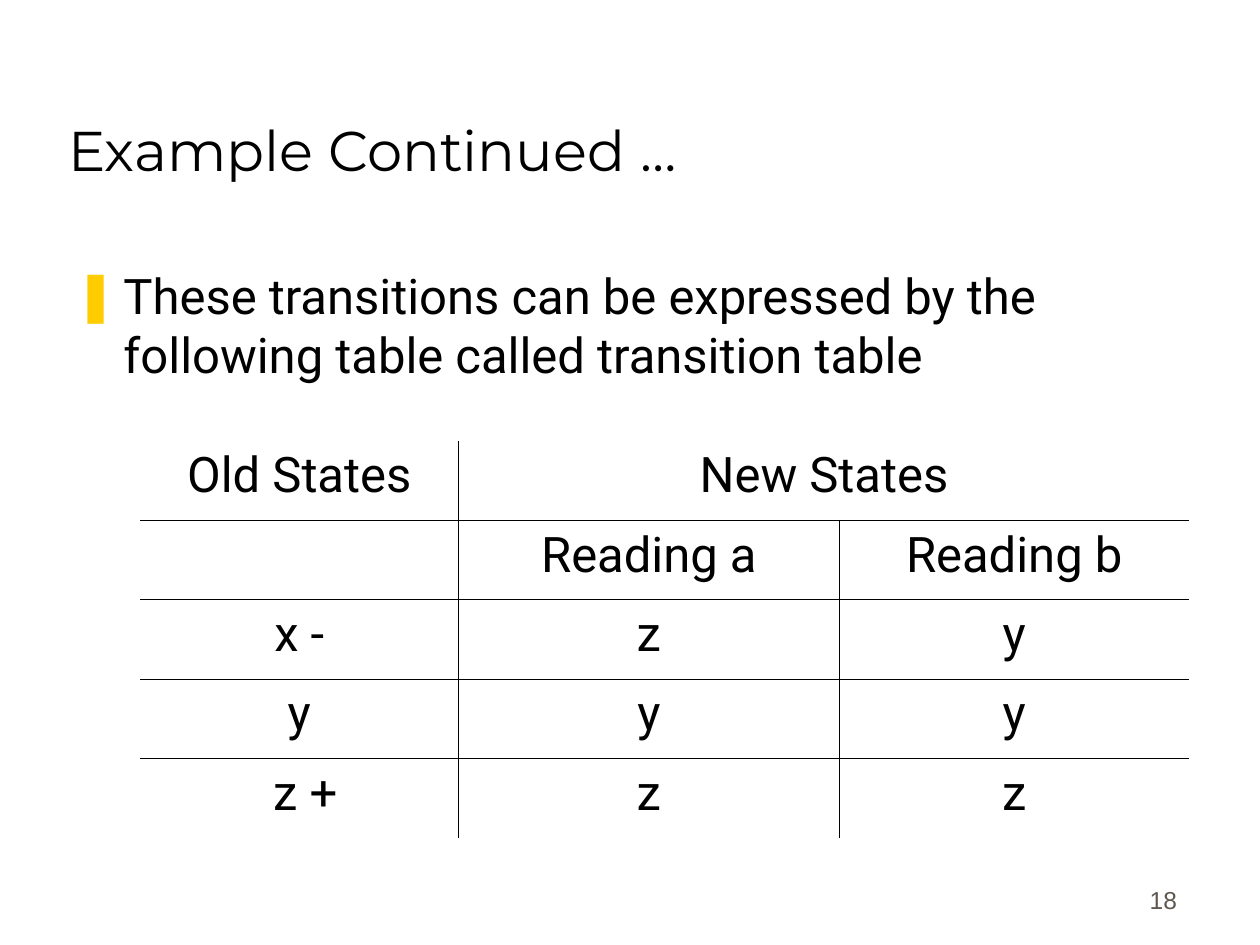
from lxml import etree
from pptx import Presentation, util as u
from pptx.dml.color import RGBColor
from pptx.enum import text
from pptx.oxml import ns

BLACK = RGBColor(0x00, 0x00, 0x00)
GREY = RGBColor(0x5E, 0x57, 0x4E)
YELLOW = RGBColor(0xFF, 0xCC, 0x00)
HANG = u.Inches(0.38)


def set_text(p, words, font, size, color=BLACK, align=text.PP_ALIGN.LEFT):
    p.text = words
    p.alignment = align
    p.font.name, p.font.size = font, u.Pt(size)
    p.font.color.rgb = color


def hang(p):
    pPr = p._p.get_or_add_pPr()
    pPr.set("marL", str(HANG))
    pPr.set("indent", str(-HANG))
    return pPr


prs = Presentation()
prs.slide_width, prs.slide_height = u.Inches(10), u.Inches(7.5)
s = prs.slides.add_slide(prs.slide_layouts[1])

# Title and body frames
title, body = s.shapes.title, s.placeholders[1]
frames = [(title, (0.44, 0.25, 8.5, 1.25), text.MSO_ANCHOR.BOTTOM),
          (body, (0.5, 2.06, 8.5, 4.56), text.MSO_ANCHOR.TOP)]
for sp, box, anchor in frames:
    sp.left, sp.top, sp.width, sp.height = [u.Inches(v) for v in box]
    sp.text_frame.auto_size = text.MSO_AUTO_SIZE.NONE
    sp.text_frame.vertical_anchor = anchor

set_text(title.text_frame.paragraphs[0], "Example Continued …", "Montserrat", 32)

# Body with a yellow bar as its bullet
p = body.text_frame.paragraphs[0]
set_text(p, "These transitions can be expressed by the following table called "
         "transition table", "Roboto", 28)
p.space_before = u.Pt(7)
pPr = hang(p)
bullet = [etree.Element(ns.qn("a:buClr")), etree.Element(ns.qn("a:buChar"), char="❚")]
etree.SubElement(bullet[0], ns.qn("a:srgbClr"), val=str(YELLOW))
for at, el in enumerate(bullet, start=1):  # after the paragraph spacing
    pPr.insert(at, el)

# Transition table
rows = [("Old States", "New States", ""),
        ("", "Reading a", "Reading b"),
        ("x -", "z", "y"),
        ("y", "y", "y"),
        (" z +", "z", "z")]
widths = [2.53, 3.02, 2.78]
row_height = 0.63
last_row, last_col = len(rows) - 1, len(widths) - 1
frame = s.shapes.add_table(len(rows), len(widths), u.Inches(1.11), u.Inches(3.5),
                           u.Inches(sum(widths)), u.Inches(row_height * len(rows)))
table = frame.table
table.first_row = table.horz_banding = False
for col, width in zip(table.columns, widths):
    col.width = u.Inches(width)
for row in table.rows:
    row.height = u.Inches(row_height)
table.cell(0, 1).merge(table.cell(0, 2))

for r, row in enumerate(rows):
    for c, words in enumerate(row):
        cell = table.cell(r, c)
        cell.fill.background()
        if words:
            p = cell.text_frame.paragraphs[0]
            set_text(p, words, "Roboto", 28, align=text.PP_ALIGN.CENTER)
            hang(p)
        # Rules run only between cells, and not inside the merged heading
        in_heading = r == 0 and c > 0
        sides = {"L": c > 0 and not (r == 0 and c == last_col),
                 "R": c < last_col and not in_heading,
                 "T": r > 0,
                 "B": r < last_row}
        tcPr = cell._tc.get_or_add_tcPr()
        for at, (side, ruled) in enumerate(sides.items()):
            ln = etree.Element(ns.qn("a:ln" + side), w=str(u.Pt(0.45)))
            if ruled:
                fill = etree.SubElement(ln, ns.qn("a:solidFill"))
                etree.SubElement(fill, ns.qn("a:srgbClr"), val=str(BLACK))
            else:
                etree.SubElement(ln, ns.qn("a:noFill"))
            tcPr.insert(at, ln)

# Slide number
number = s.shapes.add_textbox(u.Inches(7.36), u.Inches(6.81), u.Inches(2.08), u.Inches(0.5))
tf = number.text_frame
tf.word_wrap = True
tf.vertical_anchor = text.MSO_ANCHOR.BOTTOM
set_text(tf.paragraphs[0], "18", "Arial", 14, GREY, text.PP_ALIGN.RIGHT)

prs.save("out.pptx")
